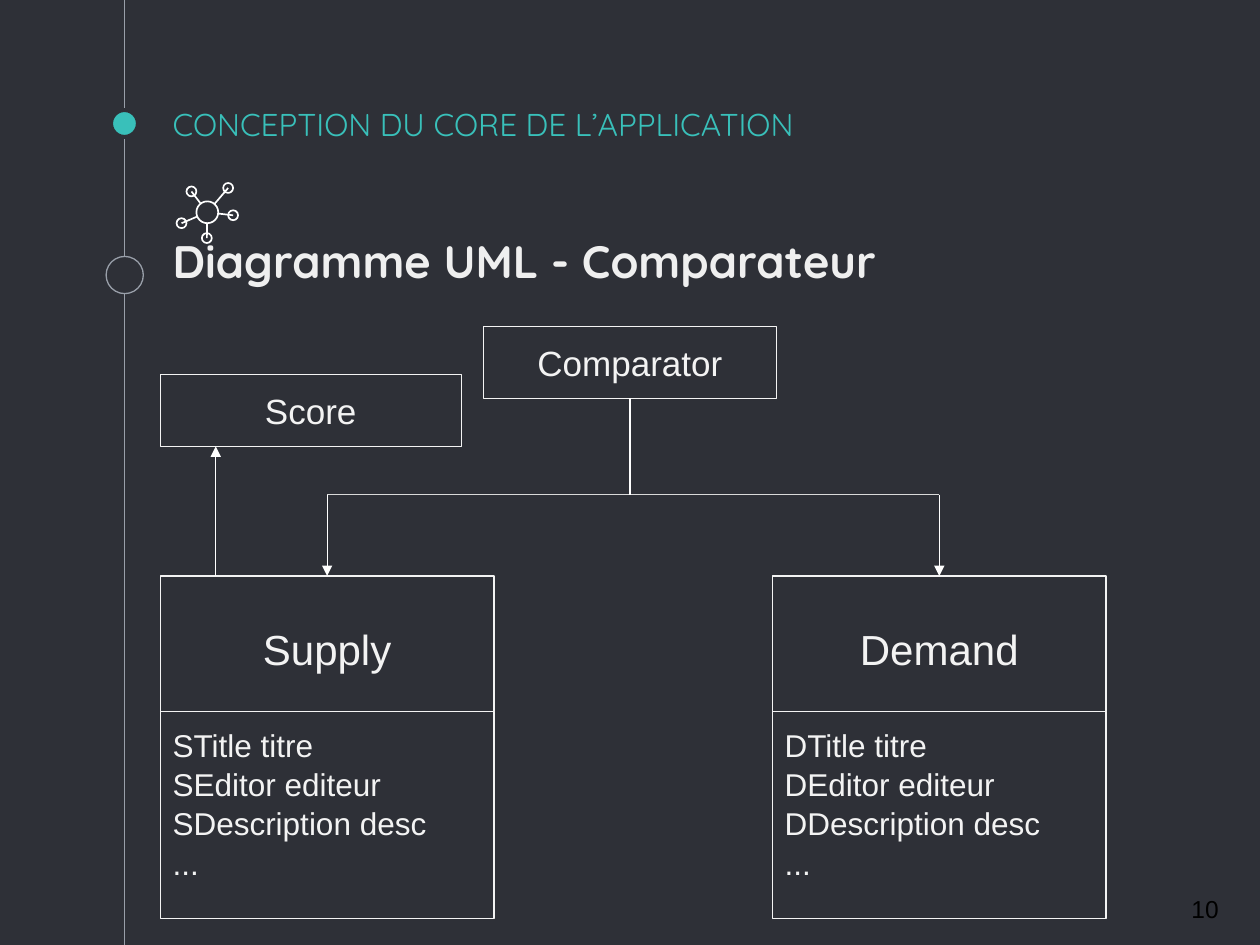
from math import hypot

from lxml.etree import SubElement
from pptx import Presentation
from pptx.dml.color import RGBColor
from pptx.enum.shapes import MSO_CONNECTOR as CONN, MSO_SHAPE as SHAPE
from pptx.enum.text import MSO_ANCHOR as ANCHOR, PP_ALIGN as ALIGN
from pptx.oxml.ns import qn
from pptx.util import Cm, Pt

DARK = RGBColor(0x2E, 0x30, 0x37)
TEAL = RGBColor(0x39, 0xC0, 0xBA)
GREY = RGBColor(0x99, 0x9F, 0xA9)
PALE = RGBColor(0xD9, 0xD9, 0xD9)
LIGHT = RGBColor(0xEF, 0xEF, 0xEF)
OFFWHITE = RGBColor(0xF3, 0xF3, 0xF3)
WHITE = RGBColor(0xFF, 0xFF, 0xFF)
BLACK = RGBColor(0x00, 0x00, 0x00)

prs = Presentation()
prs.slide_width, prs.slide_height = Cm(25.4), Cm(19.05)
s = prs.slides.add_slide(prs.slide_layouts[6])
s.background.fill.solid()
s.background.fill.fore_color.rgb = DARK


def add_line(x1, y1, x2, y2, color=WHITE, width=0.75, arrow=False):
    c = s.shapes.add_connector(CONN.STRAIGHT, Cm(x1), Cm(y1), Cm(x2), Cm(y2))
    c.line.color.rgb = color
    c.line.width = Pt(width)
    if arrow:
        SubElement(c.line._get_or_add_ln(), qn("a:tailEnd"), type="triangle")
    SubElement(c._element.spPr, qn("a:effectLst"))


def add_box(x, y, w, h, lines=(), size=18, color=OFFWHITE, font="Arial", bold=False,
            align=ALIGN.LEFT, anchor=ANCHOR.TOP, top=0.25, spacing=None,
            shape=SHAPE.RECTANGLE, fill=None, line=None, width=0.75):
    sp = s.shapes.add_shape(shape, Cm(x), Cm(y), Cm(w), Cm(h))
    sp.shadow.inherit = False
    if fill is None:
        sp.fill.background()
    else:
        sp.fill.solid()
        sp.fill.fore_color.rgb = fill
    if line is None:
        sp.line.fill.background()
    else:
        sp.line.color.rgb = line
        sp.line.width = Pt(width)
    tf = sp.text_frame
    tf.word_wrap = True
    tf.vertical_anchor = anchor
    tf.margin_left = tf.margin_right = tf.margin_bottom = Cm(0.25)
    tf.margin_top = Cm(top)
    for i, text in enumerate(lines):
        p = tf.paragraphs[0] if i == 0 else tf.add_paragraph()
        p.text = text
        p.alignment = align
        p.line_spacing = spacing
        p.font.name, p.font.size, p.font.bold = font, Pt(size), bold
        p.font.color.rgb = color


# Timeline on the left
add_line(2.51, 0, 2.51, 19.05, GREY)
add_box(2.24, 2.22, 0.54, 0.54, shape=SHAPE.OVAL, fill=TEAL, line=DARK, width=2.25)
add_box(2.14, 5.17, 0.75, 0.75, shape=SHAPE.OVAL, fill=DARK, line=GREY)

# Headings and slide number
add_box(3.23, 1.86, 19.05, 1.27, ["CONCEPTION DU CORE DE L’APPLICATION"], 18, TEAL,
        "Quicksand", anchor=ANCHOR.BOTTOM)
add_box(3.23, 4.45, 19.05, 2.13, ["Diagramme UML - Comparateur"], 26, LIGHT,
        "Quicksand", bold=True)
add_box(23.77, 17.6, 1.52, 1.45, ["10"], 14, BLACK, anchor=ANCHOR.MIDDLE)

# Comparator and score boxes
for x, y, w, name in ((9.75, 6.58, 5.9, "Comparator"), (3.23, 7.55, 6.07, "Score")):
    add_box(x, y, w, 1.45, [name], 20, align=ALIGN.CENTER, top=0.3, line=OFFWHITE)

# Class boxes, each with an arrow from the shared bar
CLASS_W, CLASS_Y, NAME_H, BAR_Y = 6.73, 11.61, 2.74, 9.97
for x, name in ((3.23, "Supply"), (15.57, "Demand")):
    fields = [name[0] + f for f in ("Title titre", "Editor editeur", "Description desc")]
    add_box(x, CLASS_Y, CLASS_W, NAME_H, [name], 24, align=ALIGN.CENTER, top=0.95,
            line=OFFWHITE)
    add_box(x, CLASS_Y + NAME_H, CLASS_W, 4.17, fields + ["..."], 18, spacing=1.04,
            line=OFFWHITE)
    mid = x + CLASS_W / 2
    add_line(mid, BAR_Y, mid, CLASS_Y, arrow=True)

# Remaining links
add_line(6.6, BAR_Y, 18.93, BAR_Y, PALE)
add_line(12.7, 8.03, 12.7, BAR_Y)
add_line(4.35, CLASS_Y, 4.35, 9, arrow=True)

# Network icon: a hub with five nodes
HUB_X, HUB_Y, HUB_R, NODE_R = 4.18, 4.28, 0.22, 0.1
NODES = [(4.6, 3.79), (3.86, 3.86), (3.66, 4.5), (4.17, 4.8), (4.7, 4.34)]
for x, y, r in [(HUB_X, HUB_Y, HUB_R)] + [(x, y, NODE_R) for x, y in NODES]:
    add_box(x - r, y - r, 2 * r, 2 * r, shape=SHAPE.OVAL, line=WHITE, width=0.96)
for x, y in NODES:
    k = HUB_R / hypot(x - HUB_X, y - HUB_Y)
    add_line(x, y, HUB_X + k * (x - HUB_X), HUB_Y + k * (y - HUB_Y), width=0.96)

prs.save("out.pptx")
